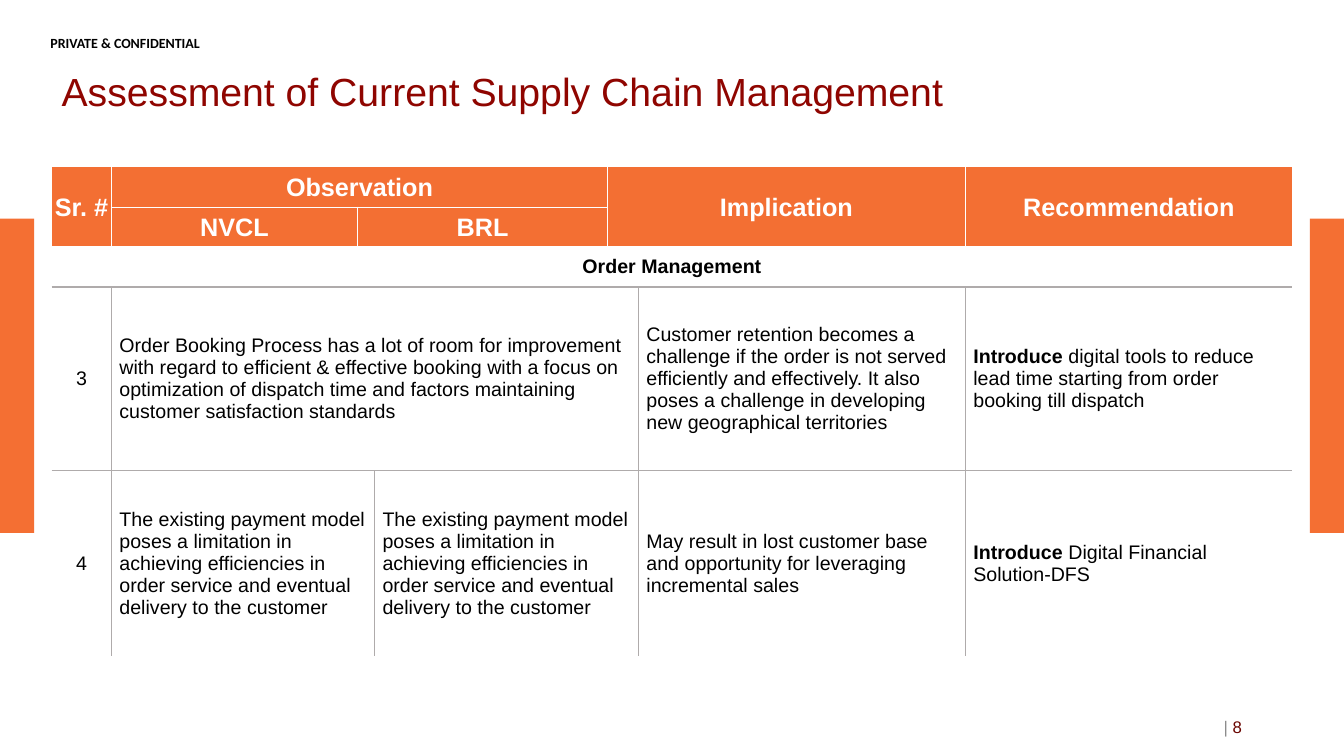
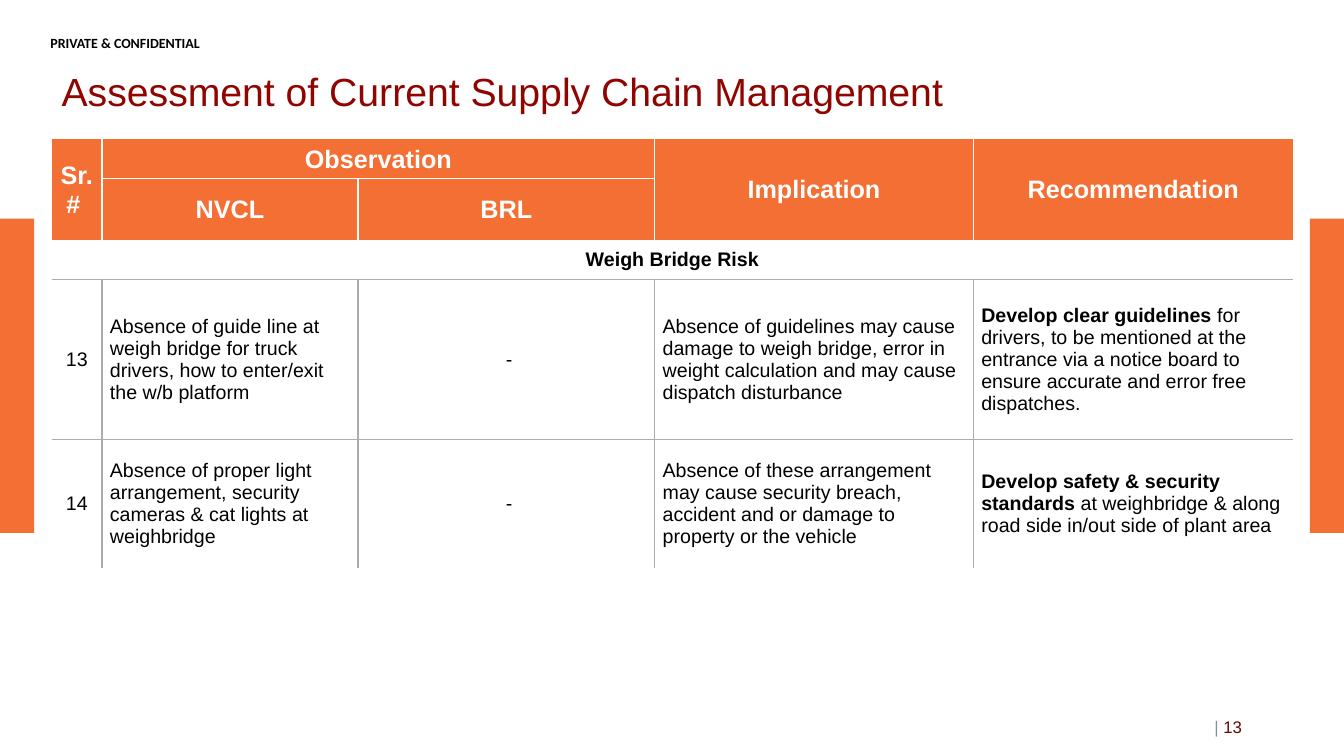
from dataclasses import dataclass
from itertools import product

from lxml.etree import SubElement
from pptx import Presentation
from pptx.dml.color import RGBColor
from pptx.enum.shapes import MSO_SHAPE as Shape
from pptx.enum.text import MSO_ANCHOR as Anchor, MSO_AUTO_SIZE as AutoSize, PP_ALIGN as Align
from pptx.oxml.ns import qn
from pptx.util import Cm, Pt

ORANGE, HEADER_ORANGE = "F46F33", "F36F33"
MAROON, DARK_RED = "8F0500", "6A0500"
BLACK, WHITE, GRAY, RULE_GRAY = "000000", "FFFFFF", "8C8C8C", "AFABAB"
PAGE_WIDTH, PAGE_HEIGHT = 33.87, 19.05
MARGIN = 1.3
BAND_WIDTH = 0.86
TITLE = "Assessment of Current Supply Chain Management"


@dataclass(frozen=True)
class Entry:
    row: int
    col: int
    text: str
    lead: str = ""
    rows: int = 1
    cols: int = 1
    centered: bool = False


@dataclass(frozen=True)
class Assessment:
    number: int
    top: float
    widths: tuple[float, ...]
    heights: tuple[float, ...]
    header: tuple[Entry, ...]
    body: tuple[Entry, ...]


def color(value: str) -> RGBColor:
    return RGBColor.from_string(value)


def write(para, text: str, *, size: float = 14, tint: str = BLACK, bold: bool = False,
          font: str = "Arial", align=None) -> None:
    if align is not None:
        para.alignment = align
    span = para.add_run()
    span.text = text
    span.font.name = font
    span.font.size = Pt(size)
    span.font.bold = bold
    span.font.color.rgb = color(tint)


def place(shape, left: float, top: float, width: float, height: float) -> None:
    shape.left, shape.top = Cm(left), Cm(top)
    shape.width, shape.height = Cm(width), Cm(height)


def set_margins(target, side: float, bottom: float) -> None:
    target.margin_left = target.margin_right = target.margin_top = Cm(side)
    target.margin_bottom = Cm(bottom)


def add_text_box(page, left: float, top: float, width: float, height: float):
    box = page.shapes.add_textbox(Cm(left), Cm(top), Cm(width), Cm(height))
    box.text_frame.word_wrap = True
    return box.text_frame


def add_frame(page, number: int) -> None:
    for left in (0, PAGE_WIDTH - BAND_WIDTH):
        band = page.shapes.add_shape(Shape.RECTANGLE, Cm(left), Cm(5.51), Cm(BAND_WIDTH), Cm(7.92))
        band.shadow.inherit = False
        band.fill.solid()
        band.fill.fore_color.rgb = color(ORANGE)
        band.line.fill.background()

    notice = add_text_box(page, 1.27, 0.86, 6.43, 0.3)
    set_margins(notice, 0, 0)
    write(notice.paragraphs[0], "PRIVATE & CONFIDENTIAL", size=10, bold=True, font="Calibri")

    title = page.shapes.title
    place(title, MARGIN, 1.47, 27.58, 1.8)
    title.text_frame.auto_size = AutoSize.NONE
    title.text_frame.vertical_anchor = Anchor.MIDDLE
    heading = title.text_frame.paragraphs[0]
    heading.line_spacing = 0.9
    write(heading, TITLE, size=28, tint=MAROON, align=Align.LEFT)

    footer = add_text_box(page, 23.93, 17.81, 7.62, 1.02)
    footer.vertical_anchor = Anchor.MIDDLE
    write(footer.paragraphs[0], "| ", size=12, tint=GRAY, align=Align.RIGHT)
    write(footer.paragraphs[0], str(number), size=12, tint=DARK_RED)


def add_borders(cell, edges: dict[str, str | None]) -> None:
    properties = cell._tc.get_or_add_tcPr()
    for side in "LRTB":
        line = SubElement(properties, qn(f"a:ln{side}"), w=str(Pt(1)))
        tint = edges[side]
        if tint:
            fill = SubElement(line, qn("a:solidFill"))
            SubElement(fill, qn("a:srgbClr"), val=tint)
        else:
            SubElement(line, qn("a:noFill"))


def add_entry(table, entry: Entry, is_header: bool) -> None:
    last_row, last_col = len(table.rows) - 1, len(table.columns) - 1
    bottom, right = entry.row + entry.rows - 1, entry.col + entry.cols - 1
    cell = table.cell(entry.row, entry.col)
    if (bottom, right) != (entry.row, entry.col):
        cell.merge(table.cell(bottom, right))

    rule = WHITE if is_header else RULE_GRAY
    top_rule = WHITE if entry.row == 2 else rule
    for row, col in product(range(entry.row, bottom + 1), range(entry.col, right + 1)):
        part = table.cell(row, col)
        add_borders(part, {
            "L": rule if col == entry.col and col > 0 else None,
            "R": rule if col == right and col < last_col else None,
            "T": top_rule if row == entry.row and row > 0 else None,
            "B": rule if row == bottom and row < last_row else None,
        })
        if is_header:
            part.fill.solid()
            part.fill.fore_color.rgb = color(HEADER_ORANGE)
        else:
            part.fill.background()

    cell.vertical_anchor = Anchor.MIDDLE
    para = cell.text_frame.paragraphs[0]
    if is_header:
        set_margins(cell, 0.03, 0)
        write(para, entry.text, size=18, tint=WHITE, bold=True, align=Align.CENTER)
        return
    set_margins(cell, 0.2, 0.2)
    if entry.lead:
        write(para, entry.lead, bold=True)
    write(para, entry.text, bold=entry.row == 2,
          align=Align.CENTER if entry.centered else Align.LEFT)


def add_assessment(deck, assessment: Assessment) -> None:
    page = deck.slides.add_slide(deck.slide_layouts[5])
    add_frame(page, assessment.number)
    widths, heights = assessment.widths, assessment.heights
    table = page.shapes.add_table(len(heights), len(widths), Cm(MARGIN), Cm(assessment.top),
                                  Cm(sum(widths)), Cm(sum(heights))).table
    table.first_row = table.horz_banding = False
    for column, width in zip(table.columns, widths):
        column.width = Cm(width)
    for row, height in zip(table.rows, heights):
        row.height = Cm(height)
    for entry in assessment.header:
        add_entry(table, entry, True)
    for entry in assessment.body:
        add_entry(table, entry, False)


def header_entries(first_cols: int, second_cols: int, implication_cols: int) -> tuple[Entry, ...]:
    observation_cols = first_cols + second_cols
    implication = 1 + observation_cols
    return (
        Entry(0, 0, "Sr. # ", rows=2),
        Entry(0, 1, "Observation", cols=observation_cols),
        Entry(0, implication, "Implication", rows=2, cols=implication_cols),
        Entry(0, implication + implication_cols, "Recommendation", rows=2),
        Entry(1, 1, "NVCL", cols=first_cols),
        Entry(1, 1 + first_cols, "BRL", cols=second_cols),
    )


PAYMENT_MODEL = ("The existing payment model poses a limitation in achieving efficiencies "
                 "in order service and eventual delivery to the customer")

ASSESSMENTS = (
    Assessment(
        8, 4.22, (1.51, 6.2, 0.43, 5.87, 0.78, 8.24, 8.24), (1, 1, 1.01, 4.63, 4.67),
        header_entries(1, 2, 2),
        (
            Entry(2, 0, "Order Management", cols=7, centered=True),
            Entry(3, 0, "3", centered=True),
            Entry(3, 1, "Order Booking Process has a lot of room for improvement with regard to "
                  "efficient & effective booking with a focus on optimization of dispatch time "
                  "and factors maintaining customer satisfaction standards", cols=4),
            Entry(3, 5, "Customer retention becomes a challenge if the order is not served "
                  "efficiently and effectively. It also poses a challenge in developing new "
                  "geographical territories"),
            Entry(3, 6, "digital tools to reduce lead time starting from order booking till "
                  "dispatch", lead="Introduce "),
            Entry(4, 0, "4", centered=True),
            Entry(4, 1, PAYMENT_MODEL, cols=2),
            Entry(4, 3, PAYMENT_MODEL, cols=2),
            Entry(4, 5, "May result in lost customer base and opportunity for leveraging "
                  "incremental sales"),
            Entry(4, 6, "Digital Financial Solution-DFS", lead="Introduce "),
        ),
    ),
    Assessment(
        13, 3.5, (1.27, 6.45, 7.48, 8.03, 8.06), (1, 1.43, 0.96, 4.03, 3.23),
        header_entries(1, 1, 1),
        (
            Entry(2, 0, " Weigh Bridge Risk ", cols=5, centered=True),
            Entry(3, 0, "13", centered=True),
            Entry(3, 1, "Absence of guide line at weigh bridge for truck drivers, how to "
                  "enter/exit the w/b platform"),
            Entry(3, 2, " -", centered=True),
            Entry(3, 3, "Absence of guidelines may cause damage to weigh bridge, error in weight "
                  "calculation and may cause dispatch disturbance"),
            Entry(3, 4, " for drivers, to be mentioned at the entrance via a notice board to "
                  "ensure accurate and error free dispatches.", lead="Develop clear guidelines"),
            Entry(4, 0, "14", centered=True),
            Entry(4, 1, "Absence of proper light arrangement, security cameras & cat lights at "
                  "weighbridge"),
            Entry(4, 2, " -", centered=True),
            Entry(4, 3, "Absence of these arrangement may cause security breach, accident and or "
                  "damage to property or the vehicle"),
            Entry(4, 4, "at weighbridge & along road side in/out side of plant area",
                  lead="Develop safety & security standards "),
        ),
    ),
)


def main() -> None:
    deck = Presentation()
    deck.slide_width, deck.slide_height = Cm(PAGE_WIDTH), Cm(PAGE_HEIGHT)
    for assessment in ASSESSMENTS:
        add_assessment(deck, assessment)
    deck.save("out.pptx")


if __name__ == "__main__":
    main()
